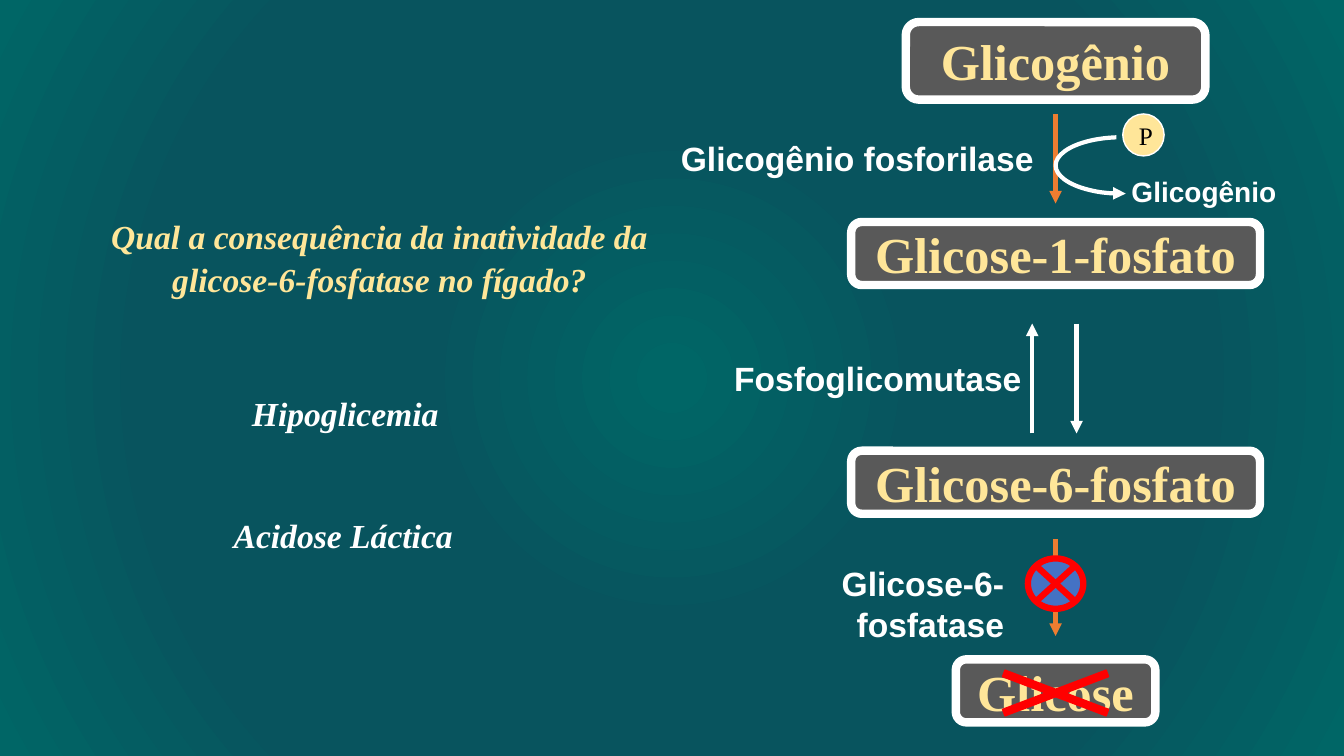
import pptx
import pptx.util
import pptx.dml.color
import pptx.enum.shapes
import pptx.enum.text
import pptx.oxml
import pptx.oxml.ns
from lxml import etree

Pt = pptx.util.Pt
SHAPE = pptx.enum.shapes.MSO_SHAPE
ALIGN = pptx.enum.text.PP_ALIGN
ANCHOR = pptx.enum.text.MSO_ANCHOR
qn = pptx.oxml.ns.qn

SERIF, SANS = "Times New Roman", "Arial"
WHITE, CREAM, GREY = "FFFFFF", "FFE699", "595959"
ORANGE, RED, BLUE, BLACK = "ED7D31", "FF0000", "4472C4", "000000"
GRADIENT = [(1, "006666"), (33, "08545E"), (68, "08545E"), (100, "006666")]
AXIS = 754


def color(value):
    return pptx.dml.color.RGBColor.from_string(value)


def write(frame, text, font=SERIF, size=24, fill=WHITE, bold=True, italic=False,
          align=ALIGN.CENTER, anchor=ANCHOR.TOP, spacing=1.0, after=0):
    frame.word_wrap = True
    frame.auto_size = pptx.enum.text.MSO_AUTO_SIZE.NONE
    frame.vertical_anchor = anchor
    frame.margin_left = frame.margin_right = Pt(7.2)
    frame.margin_top = frame.margin_bottom = Pt(3.6)
    para = frame.paragraphs[0]
    para.alignment = align
    para.line_spacing = spacing
    para.space_after = Pt(after)
    span = para.add_run()
    span.text = text
    span.font.name = font
    span.font.size = Pt(size)
    span.font.bold = bold
    span.font.italic = italic
    span.font.color.rgb = color(fill)


def add_label(page, text, left, top, width, height, **style):
    box = page.shapes.add_textbox(Pt(left), Pt(top), Pt(width), Pt(height))
    write(box.text_frame, text, **style)


def add_figure(page, kind, left, top, width, height, fill, line, weight):
    figure = page.shapes.add_shape(kind, Pt(left), Pt(top), Pt(width), Pt(height))
    figure.shadow.inherit = False
    if fill:
        figure.fill.solid()
        figure.fill.fore_color.rgb = color(fill)
    else:
        figure.fill.background()
    figure.line.color.rgb = color(line)
    figure.line.width = Pt(weight)
    return figure


def add_molecule(page, text, top, width, height=45):
    box = add_figure(page, SHAPE.ROUNDED_RECTANGLE, AXIS - width / 2, top,
                     width, height, GREY, WHITE, 6)
    write(box.text_frame, text, size=36, fill=CREAM, anchor=ANCHOR.MIDDLE)


def add_arrowhead(shape, end):
    outline = shape.element.spPr.find(qn("a:ln"))
    etree.SubElement(outline, qn(end)).set("type", "triangle")


def add_arrow(page, x, start, stop, line):
    arrow = page.shapes.add_connector(pptx.enum.shapes.MSO_CONNECTOR.STRAIGHT,
                                      Pt(x), Pt(start), Pt(x), Pt(stop))
    arrow.line.color.rgb = color(line)
    arrow.line.width = Pt(3)
    add_arrowhead(arrow, "a:tailEnd")
    etree.SubElement(arrow.element.spPr, qn("a:effectLst"))


def paint_background(page):
    page.background.fill.solid()
    properties = page.element.find(".//" + qn("p:bgPr"))
    stops = "".join(f'<a:gs pos="{place * 1000}"><a:srgbClr val="{tone}"/></a:gs>'
                    for place, tone in GRADIENT)
    gradient = pptx.oxml.parse_xml(
        f'<a:gradFill {pptx.oxml.ns.nsdecls("a")} rotWithShape="1">'
        f'<a:gsLst>{stops}</a:gsLst><a:path path="circle">'
        '<a:fillToRect l="50000" t="50000" r="50000" b="50000"/></a:path></a:gradFill>')
    properties.replace(properties[0], gradient)


def add_question(page):
    title = page.shapes.title
    title.left, title.top, title.width, title.height = Pt(72), Pt(148.3), Pt(398), Pt(67.7)
    write(title.text_frame, "Qual a consequência da inatividade da glicose-6-fosfatase no fígado?",
          fill=CREAM, italic=True, spacing=1.07, after=8)


def add_phosphate_branch(page):
    phosphate = add_figure(page, SHAPE.OVAL, 802, 81.4, 29.5, 30, CREAM, WHITE, 1)
    write(phosphate.text_frame, "P", size=18, fill=BLACK, bold=False, anchor=ANCHOR.MIDDLE)
    curve = add_figure(page, SHAPE.ARC, AXIS, 98, 95, 40.3, None, WHITE, 3)
    curve.adjustments[0] = 157.602
    curve.adjustments[1] = 47.063
    curve.rotation = 180
    add_arrowhead(curve, "a:headEnd")
    add_label(page, "Glicogênio", 793.5, 121, 133, 31.7, font=SANS, size=20)


def main():
    deck = pptx.Presentation()
    deck.slide_width, deck.slide_height = Pt(960), Pt(540)
    page = deck.slides.add_slide(deck.slide_layouts[5])
    paint_background(page)
    add_question(page)

    for answer, left, top in [("Hipoglicemia", 104.4, 275), ("Acidose Láctica", 103, 362.2)]:
        add_label(page, answer, left, top, 284.4, 36.7, italic=True, spacing=1.07, after=8)

    add_molecule(page, "Glicogênio", 15.8, 214, 55.4)
    add_molecule(page, "Glicose-1-fosfato", 158.6, 292)
    add_molecule(page, "Glicose-6-fosfato", 322, 292)
    add_molecule(page, "Glicose", 471, 142.5)

    for x, start, stop, line in [(AXIS, 81.4, 145.4, ORANGE), (737.3, 309.6, 231.1, WHITE),
                                 (769, 231.1, 309.6, WHITE), (AXIS, 385.2, 454.3, ORANGE)]:
        add_arrow(page, x, start, stop, line)

    for enzyme, right, top, width in [("Glicogênio fosforilase", 745.5, 95, 275.8),
                                      ("Fosfoglicomutase", 736.8, 252, 234),
                                      ("Glicose-6-fosfatase", 724.3, 398.9, 234)]:
        add_label(page, enzyme, right - width, top, width, 36, font=SANS, align=ALIGN.RIGHT)

    add_phosphate_branch(page)
    add_figure(page, SHAPE.FLOWCHART_SUMMING_JUNCTION, AXIS - 19.8, 398.9, 39.6, 36, BLUE, RED, 4.5)
    cross = add_figure(page, SHAPE.MATH_MULTIPLY, AXIS - 71.25, 468, 142.5, 54, RED, RED, 1)
    cross.adjustments[0] = 0.092
    deck.save("out.pptx")


main()
